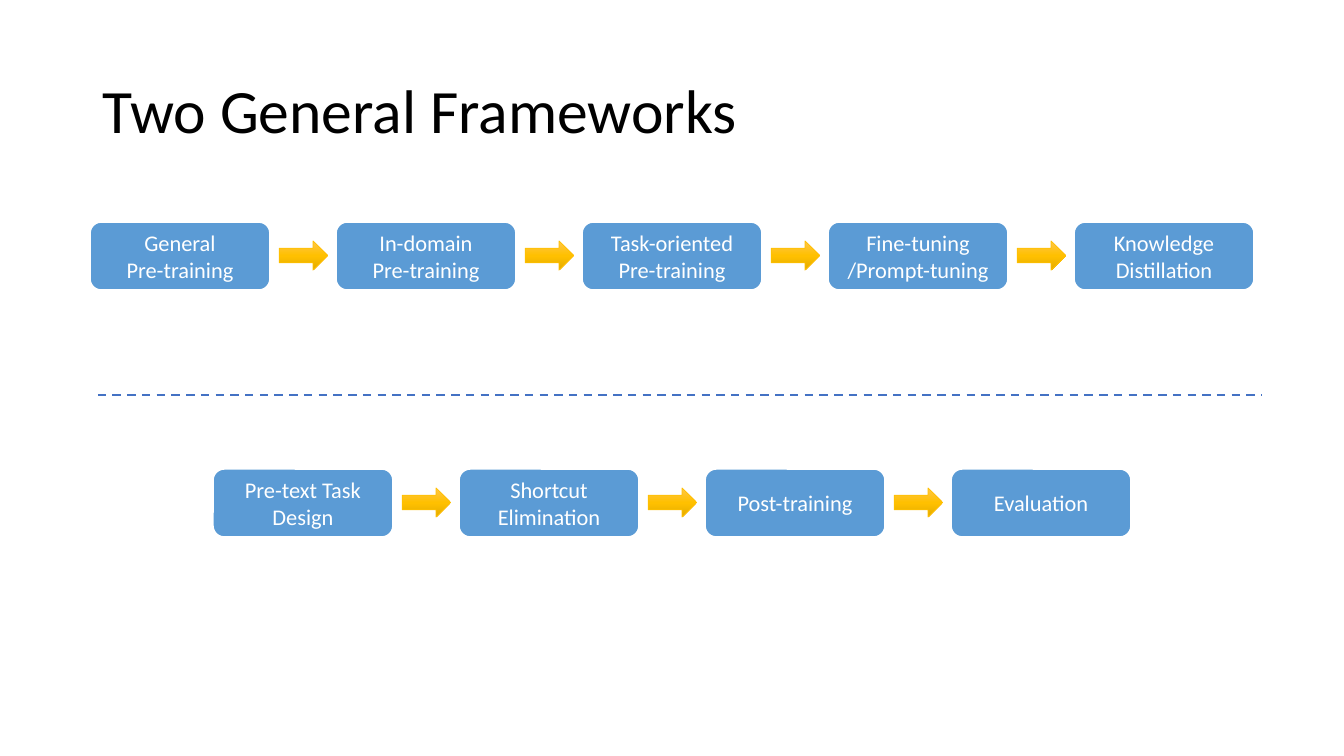
from lxml import etree
from pptx import Presentation
from pptx.dml.color import RGBColor
from pptx.enum.dml import MSO_LINE
from pptx.enum.shapes import MSO_CONNECTOR, MSO_SHAPE
from pptx.enum.text import MSO_ANCHOR, PP_ALIGN
from pptx.oxml.ns import qn
from pptx.util import Pt

PX = 9144  # 100 px to the inch
FONT = "Calibri"
ROUNDED, ARROW = MSO_SHAPE.ROUNDED_RECTANGLE, MSO_SHAPE.RIGHT_ARROW
STRAIGHT, DASH = MSO_CONNECTOR.STRAIGHT, MSO_LINE.DASH
MIDDLE, LEFT, CENTER = MSO_ANCHOR.MIDDLE, PP_ALIGN.LEFT, PP_ALIGN.CENTER

STEP_WIDTH, STEP_HEIGHT, GAP = 179, 68, 65
ARROW_WIDTH, ARROW_HEIGHT = 48, 29
ARROW_STOPS = [(0, "FFC64B"), (50, "FFC000"), (100, "E3AB00")]

PRETRAINING_STEPS = [
    ["General", "Pre-training"],
    ["In-domain", "Pre-training"],
    ["Task-oriented", "Pre-training"],
    ["Fine-tuning", "/Prompt-tuning"],
    ["Knowledge", "Distillation"],
]
PRETEXT_STEPS = [
    ["Pre-text Task Design"],
    ["Shortcut Elimination"],
    ["Post-training"],
    ["Evaluation"],
]


def px(*lengths):
    return [length * PX for length in lengths]


def color(hex_code):
    return RGBColor.from_string(hex_code)


def write(shape, lines, size, hex_code, align):
    frame = shape.text_frame
    frame.word_wrap = True
    frame.vertical_anchor = MIDDLE
    for index, line in enumerate(lines):
        para = frame.add_paragraph() if index else frame.paragraphs[0]
        para.alignment = align
        span = para.add_run()
        span.text = line
        span.font.name = FONT
        span.font.size = Pt(size)
        span.font.color.rgb = color(hex_code)


def outline(shape, hex_code, width):
    shape.line.color.rgb = color(hex_code)
    shape.line.width = Pt(width)


def fill_gradient(shape, stops):
    """Fill from top to bottom with (percent, colour) stops."""
    shape.fill.gradient()
    shape.fill.gradient_angle = 270
    stop_list = shape.fill._xPr.find(qn("a:gradFill")).find(qn("a:gsLst"))
    stop_list.clear()
    for percent, hex_code in stops:
        stop = etree.SubElement(stop_list, qn("a:gs"), pos=str(percent * 1000))
        etree.SubElement(stop, qn("a:srgbClr"), val=hex_code)


def add_step(flow, left, top, lines):
    step = flow.shapes.add_shape(ROUNDED, *px(left, top, STEP_WIDTH, STEP_HEIGHT))
    step.shadow.inherit = False
    step.fill.solid()
    step.fill.fore_color.rgb = color("5B9BD5")
    outline(step, "FFFFFF", 1.5)
    write(step, lines, 16, "FFFFFF", CENTER)


def add_arrow(flow, left, top):
    arrow = flow.shapes.add_shape(ARROW, *px(left, top, ARROW_WIDTH, ARROW_HEIGHT))
    arrow.shadow.inherit = False
    fill_gradient(arrow, ARROW_STOPS)
    outline(arrow, "FFC000", 0.5)


def add_flow(page, left, top, steps):
    """Place a row of steps with an arrow centred in each gap."""
    flow = page.shapes.add_group_shape()
    arrow_left = STEP_WIDTH + (GAP - ARROW_WIDTH + 1) // 2
    arrow_top = top + (STEP_HEIGHT - ARROW_HEIGHT) // 2
    for index, lines in enumerate(steps):
        step_left = left + index * (STEP_WIDTH + GAP)
        add_step(flow, step_left, top, lines)
        if index < len(steps) - 1:
            add_arrow(flow, step_left + arrow_left, arrow_top)


def add_title(page, left, top, width, height):
    title = page.shapes.add_textbox(*px(left, top, width, height))
    write(title, ["Two General Frameworks"], 44, "000000", LEFT)
    title.text_frame.paragraphs[0].line_spacing = 0.9


def add_divider(page, left, top, width):
    divider = page.shapes.add_connector(STRAIGHT, *px(left, top, left + width, top))
    outline(divider, "4472C4", 1.5)
    divider.line.dash_style = DASH
    etree.SubElement(divider._element.spPr, qn("a:effectLst"))


def main():
    deck = Presentation()
    deck.slide_width, deck.slide_height = px(1333, 750)
    page = deck.slides.add_slide(deck.slide_layouts[6])
    add_title(page, 92, 40, 1150, 145)
    add_flow(page, 89, 220, PRETRAINING_STEPS)
    add_divider(page, 97, 392, 1155)
    add_flow(page, 211, 465, PRETEXT_STEPS)
    deck.save("out.pptx")


if __name__ == "__main__":
    main()
